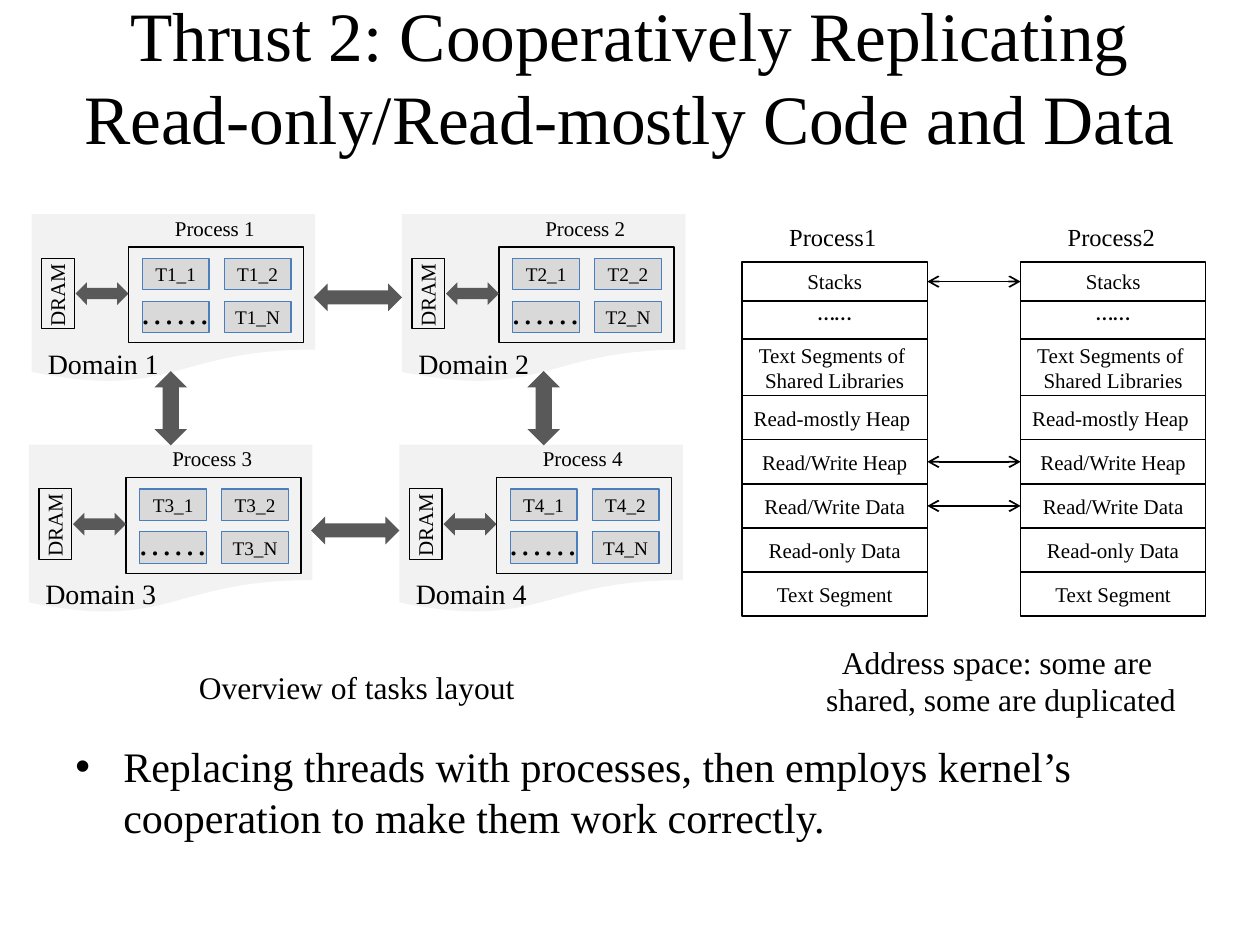
from dataclasses import dataclass
from itertools import product

from lxml.etree import SubElement
from pptx import Presentation
from pptx.dml.color import RGBColor
from pptx.enum.shapes import MSO_CONNECTOR, MSO_SHAPE
from pptx.enum.text import MSO_ANCHOR, MSO_AUTO_SIZE, PP_ALIGN
from pptx.oxml.ns import qn
from pptx.util import Inches, Pt

SERIF = "Times New Roman"
BLACK, WHITE, PANEL, TASK, TASK_EDGE, ARROW = (
    "000000", "FFFFFF", "F2F2F2", "D9D9D9", "4B7EBC", "595959")
DOTS = "……"


@dataclass
class Box:
    x: float
    y: float
    w: float
    h: float

    def moved(self, dx: float, dy: float) -> "Box":
        return Box(self.x + dx, self.y + dy, self.w, self.h)

    def inches(self) -> list:
        return [Inches(v) for v in (self.x, self.y, self.w, self.h)]


@dataclass
class Segment:
    text: str
    height: float
    shared: bool = False


@dataclass
class Domain:
    number: int
    col: int
    row: int


def color(value: str) -> RGBColor:
    return RGBColor.from_string(value)


def write(tf, text: str, size: float, align=PP_ALIGN.CENTER, font: str = SERIF) -> None:
    tf.text = text
    for p in tf.paragraphs:
        p.alignment = align
        for r in p.runs:
            r.font.size, r.font.name = Pt(size), font
            r.font.color.rgb = color(BLACK)


def no_insets(tf) -> None:
    tf.margin_left = tf.margin_right = tf.margin_top = tf.margin_bottom = 0


def add_shape(kind, box: Box, fill: str = "", line: str = "", text: str = "",
              size: float = 12, rotation: float = 0) -> None:
    sp = s.shapes.add_shape(kind, *box.inches())
    sp.shadow.inherit = False
    sp.rotation = rotation
    if fill:
        sp.fill.solid()
        sp.fill.fore_color.rgb = color(fill)
    else:
        sp.fill.background()
    if line:
        sp.line.color.rgb = color(line)
        sp.line.width = Pt(0.75)
    else:
        sp.line.fill.background()
    if text:
        tf = sp.text_frame
        no_insets(tf)
        tf.vertical_anchor = MSO_ANCHOR.MIDDLE
        write(tf, text, size)


def add_label(box: Box, text: str, size: float, align=PP_ALIGN.CENTER, font: str = SERIF,
              wrap: bool = True, insets: bool = True, rotation: float = 0):
    sp = s.shapes.add_textbox(*box.inches())
    sp.rotation = rotation
    tf = sp.text_frame
    tf.word_wrap = wrap
    tf.auto_size = MSO_AUTO_SIZE.SHAPE_TO_FIT_TEXT
    if not insets:
        no_insets(tf)
    write(tf, text, size, align, font)
    return tf


def add_double_arrow(x1: float, x2: float, y: float) -> None:
    line = s.shapes.add_connector(
        MSO_CONNECTOR.STRAIGHT, Inches(x1), Inches(y), Inches(x2), Inches(y))
    line.line.color.rgb = color(BLACK)
    line.line.width = Pt(1)
    ln = line.line._get_or_add_ln()
    for end in ("a:headEnd", "a:tailEnd"):
        SubElement(ln, qn(end), type="arrow")
    SubElement(line._element.spPr, qn("a:effectLst"))


def add_address_space(x: float, title: str) -> None:
    y = SPACE_TOP
    for seg in SEGMENTS:
        dots = seg.text == DOTS
        add_shape(MSO_SHAPE.RECTANGLE, Box(x, y, SPACE_W, seg.height), WHITE, BLACK,
                  "" if dots else seg.text)
        if dots:
            add_label(Box(x, y - 0.09, SPACE_W, 0.36), DOTS, 14, font="Calibri")
        y += seg.height
    add_label(Box(x + 0.14, 1.71, 1.16, 0.36), title, 14)


def add_domain(d: Domain) -> None:
    dx = d.col * COL_STEP - d.row * 0.02
    dy = d.row * ROW_STEP

    def at(x: float, y: float, w: float, h: float) -> Box:
        return Box(x, y, w, h).moved(dx, dy)

    add_shape(MSO_SHAPE.FLOWCHART_DOCUMENT, at(0.25, 1.7, 2.25, 1.34), PANEL)
    add_shape(MSO_SHAPE.RECTANGLE, at(1.02, 1.96, 1.39, 0.76), line=BLACK)
    add_label(at(1.05, 1.66, 1.31, 0.3), f"Process {d.number}", 12)
    # Tasks in a 2 x 2 grid, with dots in the lower left cell
    names = [f"T{d.number}_1", f"T{d.number}_2", "", f"T{d.number}_N"]
    for (row, col), name in zip(product(range(2), repeat=2), names):
        add_shape(MSO_SHAPE.RECTANGLE, at(1.13 + col * 0.65, 2.05 + row * 0.34, 0.53, 0.25),
                  TASK, TASK_EDGE, name, 11)
    add_label(at(1.11, 2.3, 0.56, 0.34), DOTS, 20, wrap=False, insets=False)
    # Memory of the domain
    add_shape(MSO_SHAPE.LEFT_RIGHT_ARROW, at(0.6, 2.24, 0.42, 0.18), ARROW)
    add_shape(MSO_SHAPE.RECTANGLE, at(0.33, 2.05, 0.26, 0.56), line=BLACK)
    add_label(at(0.2, 2.24, 0.5, 0.2), "DRAM", 12, PP_ALIGN.LEFT,
              wrap=False, insets=False, rotation=270)
    add_label(at(0.38, 2.75, 0.89, 0.27), f"Domain {d.number}", 16, PP_ALIGN.LEFT,
              wrap=False, insets=False)


SPACE_TOP, SPACE_W = 2.08, 1.47
SPACE_X = (5.89, 8.1)
COL_STEP, ROW_STEP = 2.94, 1.83
SEGMENTS = [
    Segment("Stacks", 0.31, shared=True),
    Segment(DOTS, 0.3),
    Segment("Text Segments of \nShared Libraries", 0.45),
    Segment("Read-mostly Heap ", 0.35),
    Segment("Read/Write Heap", 0.35, shared=True),
    Segment("Read/Write Data", 0.35, shared=True),
    Segment("Read-only Data", 0.35),
    Segment("Text Segment", 0.35),
]
DOMAINS = [Domain(1, 0, 0), Domain(3, 0, 1), Domain(2, 1, 0), Domain(4, 1, 1)]

prs = Presentation()
prs.slide_width, prs.slide_height = Inches(10), Inches(7.5)
s = prs.slides.add_slide(prs.slide_layouts[5])

# Title, raised by a deep bottom inset
title = s.shapes.title
title.left, title.top, title.width, title.height = Box(0.5, 0.3, 9, 1.25).inches()
tf = title.text_frame
tf.word_wrap = True
tf.auto_size = MSO_AUTO_SIZE.NONE
tf.vertical_anchor = MSO_ANCHOR.MIDDLE
tf.margin_bottom = Inches(0.71)
write(tf, "Thrust 2: Cooperatively Replicating Read-only/Read-mostly Code and Data", 39.6)

# Address spaces and the segments they share
for number, x in enumerate(SPACE_X, 1):
    add_address_space(x, f"Process{number}")
y = SPACE_TOP
for seg in SEGMENTS:
    if seg.shared:
        add_double_arrow(SPACE_X[1], SPACE_X[0] + SPACE_W, y + seg.height / 2)
    y += seg.height

# Domains and the links between them
for domain in DOMAINS:
    add_domain(domain)
for link in (Box(2.49, 2.25, 0.7, 0.22), Box(2.47, 4.1, 0.7, 0.22)):
    add_shape(MSO_SHAPE.LEFT_RIGHT_ARROW, link, ARROW)
for col in range(2):
    add_shape(MSO_SHAPE.LEFT_RIGHT_ARROW, Box(1.06 + col * 2.96, 3.11, 0.59, 0.26),
              ARROW, rotation=90)

# Captions
add_label(Box(1.48, 5.25, 2.72, 0.4), "Overview of tasks layout ", 18, PP_ALIGN.LEFT, wrap=False)
add_label(Box(6.39, 5.05, 3.11, 0.71),
          "Address space: some are \nshared, some are duplicated", 18, wrap=False)

# Bullet
tf = add_label(Box(0.5, 5.83, 8.61, 1.12),
               "Replacing threads with processes, then employs kernel’s cooperation "
               "to make them work correctly. ", 24, PP_ALIGN.LEFT)
tf.auto_size = MSO_AUTO_SIZE.NONE
p = tf.paragraphs[0]
p.space_before = Pt(4.8)
pPr = p._p.get_or_add_pPr()
pPr.set("marL", str(Inches(0.38)))
pPr.set("indent", str(-Inches(0.38)))
SubElement(pPr, qn("a:buFont"), typeface="Arial")
SubElement(pPr, qn("a:buChar"), char="•")

prs.save("out.pptx")
